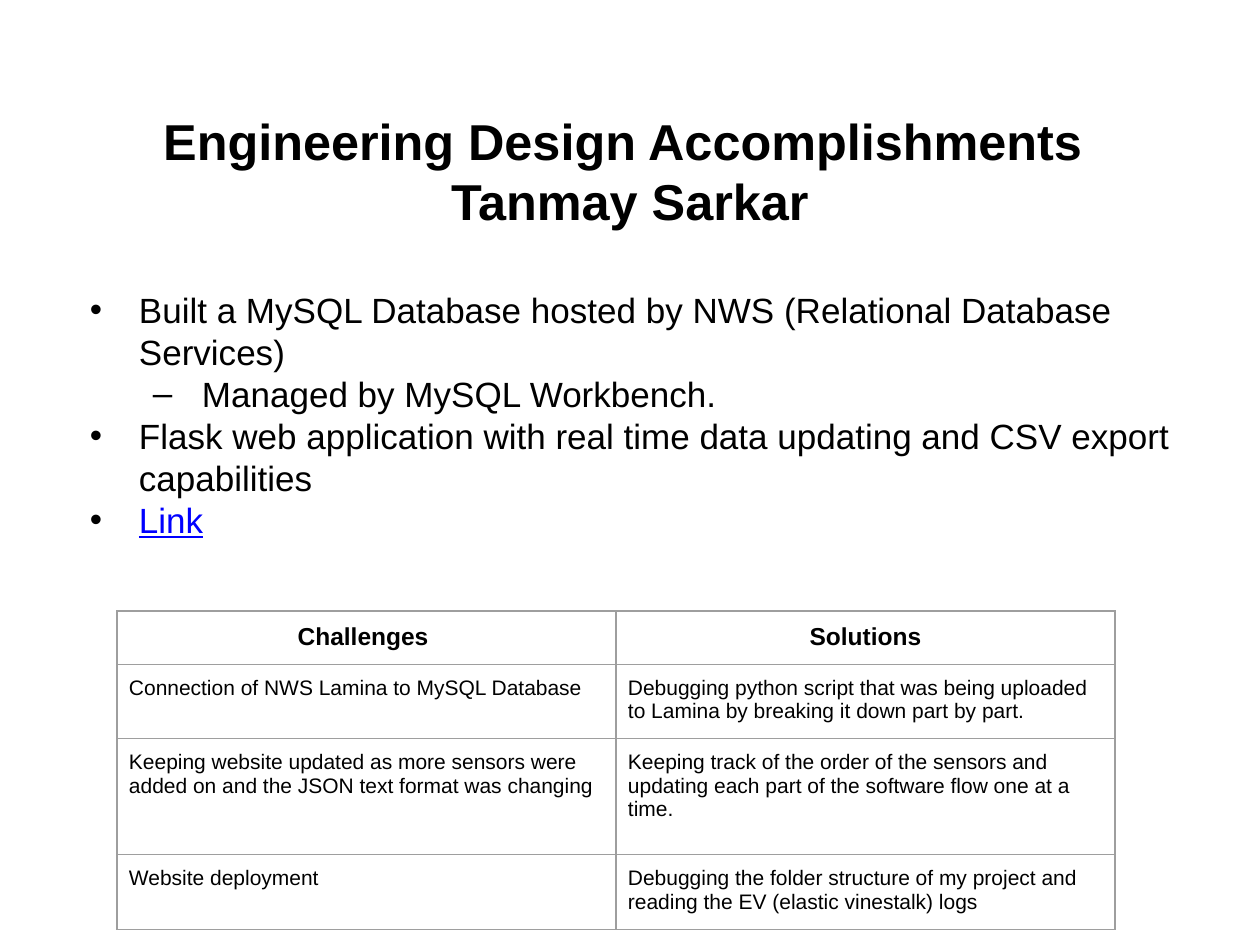
from pptx import Presentation
from pptx import util as u
from pptx.dml.color import RGBColor
from pptx.enum import text
from pptx.oxml import xmlchemy as xc

SCALE = 914400 // 126
BLACK = RGBColor(0x00, 0x00, 0x00)
WHITE = RGBColor(0xFF, 0xFF, 0xFF)
BLUE = RGBColor(0x00, 0x00, 0xFF)
GREY = RGBColor(0x9E, 0x9E, 0x9E)

PLAIN = {"name": "Arial", "bold": False}
TITLE = {**PLAIN, "size": u.Pt(28.8), "bold": True}
BODY = {**PLAIN, "size": u.Pt(20)}
HEADER = {**PLAIN, "size": u.Pt(14), "bold": True}
CELL = {**PLAIN, "size": u.Pt(12)}
LINK = {**BODY, "underline": True}
CENTER = {"alignment": text.PP_ALIGN.CENTER}
LEFT = {"alignment": text.PP_ALIGN.LEFT}

TITLE_LINES = ["Engineering Design Accomplishments ", "Tanmay Sarkar"]
BULLETS = [
    (0, "Built a MySQL Database hosted by NWS (Relational Database Services)", BODY, BLACK),
    (1, "Managed by MySQL Workbench.", BODY, BLACK),
    (0, "Flask web application with real time data updating and CSV export capabilities", BODY, BLACK),
    (0, "Link", LINK, BLUE),
]
ROWS = [
    ("Challenges ", "Solutions"),
    ("Connection of NWS Lamina to MySQL Database",
     "Debugging python script that was being uploaded to Lamina by breaking it down part by part."),
    ("Keeping website updated as more sensors were added on and the JSON text format was changing",
     "Keeping track of the order of the sensors and updating each part of the software flow one at a time."),
    ("Website deployment",
     "Debugging the folder structure of my project and reading the EV (elastic vinestalk) logs"),
]
ROW_HEIGHTS = [53, 72, 116, 72]
COLUMN_WIDTH = 499


def px(length):
    """Turn pixels into EMU."""
    return u.Emu(length * SCALE)


def apply(target, values):
    """Set attributes from a dict of format values."""
    for name, value in values.items():
        setattr(target, name, value)


def add_child(parent, tag, **attributes):
    """Append an XML element with attributes and return it."""
    child = xc.OxmlElement(tag)
    for name, value in attributes.items():
        child.set(name, str(value))
    parent.append(child)
    return child


def write(para, words, font, layout, colour=BLACK):
    """Write one formatted run into a paragraph."""
    apply(para, layout)
    span = para.add_run()
    span.text = words
    apply(span.font, font)
    span.font.color.rgb = colour


def add_box(page, left, top, width, height, frame_format):
    """Add a wrapping text box and return its frame."""
    frame = page.shapes.add_textbox(*map(px, (left, top, width, height))).text_frame
    margins = {"margin_left": px(13), "margin_right": px(13),
               "margin_top": px(6), "margin_bottom": px(6)}
    apply(frame, {"word_wrap": True, **margins, **frame_format})
    return frame


def next_para(frame, index):
    """Return the first paragraph, or a new one after it."""
    return frame.add_paragraph() if index else frame.paragraphs[0]


def add_title(page):
    """Add the centred two-line title."""
    frame = add_box(page, 63, 145, 1134, 111, {
        "vertical_anchor": text.MSO_ANCHOR.MIDDLE, "margin_bottom": px(66)})
    for index, words in enumerate(TITLE_LINES):
        write(next_para(frame, index), words, TITLE,
              {**CENTER, "line_spacing": u.Pt(34.5)})


def add_bullets(page):
    """Add the two-level bullet list."""
    frame = add_box(page, 63, 282, 1134, 562, {
        "vertical_anchor": text.MSO_ANCHOR.TOP})
    for index, (level, words, font, colour) in enumerate(BULLETS):
        para = next_para(frame, index)
        properties = para._p.get_or_add_pPr()
        apply(properties, {"lvl": level})
        properties.set("marL", str(px(63 * (level + 1))))
        properties.set("indent", str(px(-49)))
        bullet_colour = add_child(properties, "a:buClr")
        add_child(bullet_colour, "a:srgbClr", val=BLACK)
        add_child(properties, "a:buFont", typeface="Arial")
        add_child(properties, "a:buChar", char="•–"[level])
        write(para, words, font, {**LEFT, "line_spacing": u.Pt(24)}, colour)


def style_cell(cell):
    """Give a cell its margins, thin borders and white fill."""
    apply(cell, {f"margin_{side}": px(12) for side in ("left", "right", "top", "bottom")})
    properties = cell._tc.get_or_add_tcPr()
    for side in "LRTB":
        line = add_child(properties, f"a:ln{side}", w=u.Pt(0.75))
        add_child(add_child(line, "a:solidFill"), "a:srgbClr", val=GREY)
    cell.fill.solid()
    cell.fill.fore_color.rgb = WHITE


def add_challenges(page):
    """Add the table of challenges and solutions."""
    size = (117, 611, 2 * COLUMN_WIDTH, sum(ROW_HEIGHTS))
    table = page.shapes.add_table(len(ROWS), 2, *map(px, size)).table
    apply(table, {"first_row": False, "horz_banding": False})
    for column in table.columns:
        column.width = px(COLUMN_WIDTH)
    for index, (entries, height) in enumerate(zip(ROWS, ROW_HEIGHTS)):
        table.rows[index].height = px(height)
        font, layout = (CELL, LEFT) if index else (HEADER, CENTER)
        for cell, words in zip(table.rows[index].cells, entries):
            style_cell(cell)
            write(cell.text_frame.paragraphs[0], words, font, layout)


def main():
    """Build and save the slide."""
    deck = Presentation()
    apply(deck, {"slide_width": u.Inches(10), "slide_height": u.Inches(7.5)})
    page = deck.slides.add_slide(deck.slide_layouts[6])
    add_title(page)
    add_bullets(page)
    add_challenges(page)
    deck.save("out.pptx")


if __name__ == "__main__":
    main()
